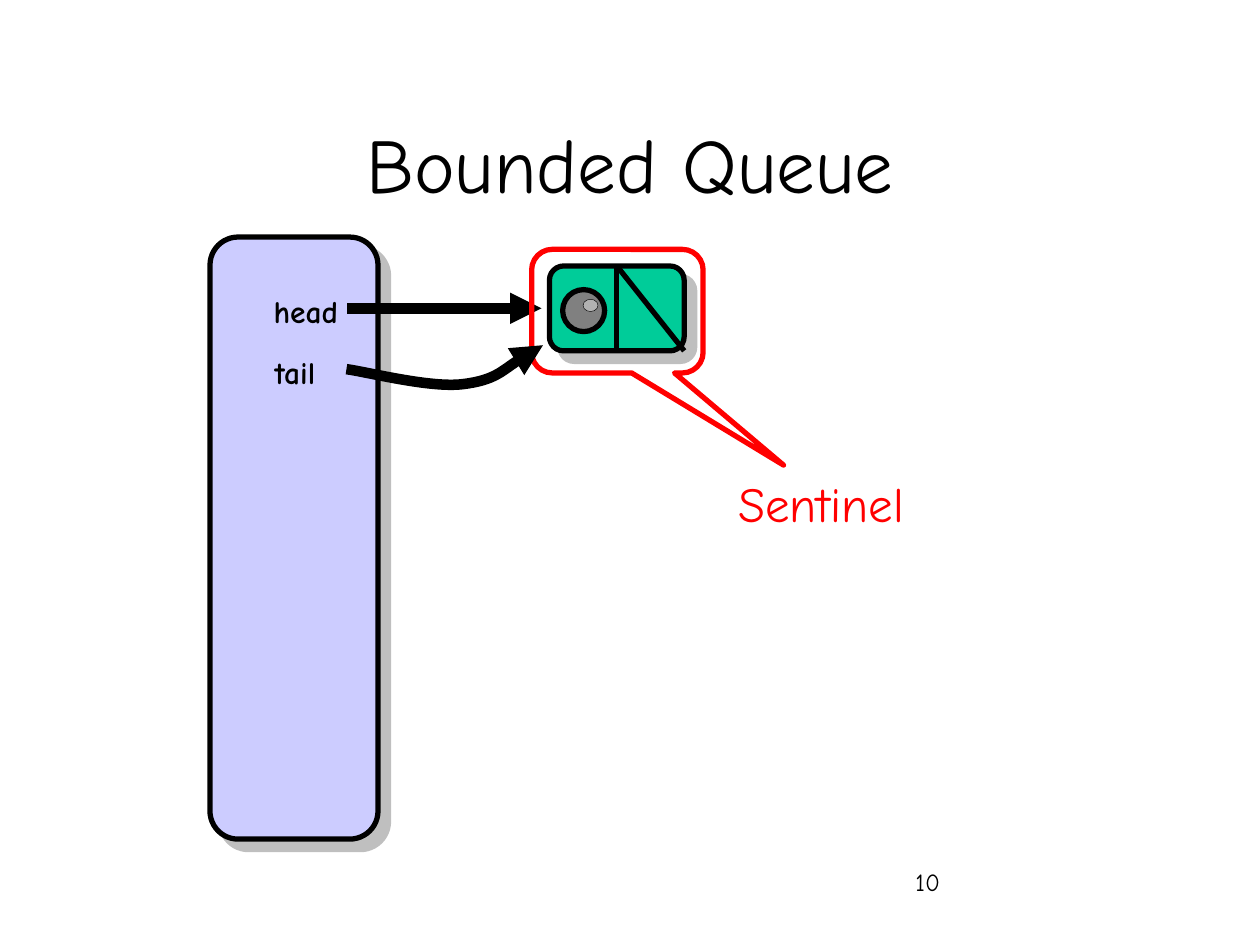
from dataclasses import dataclass

from lxml import etree
from pptx import Presentation
from pptx import util as u
from pptx.dml.color import RGBColor
from pptx.enum import shapes, text
from pptx.oxml.ns import qn

Pt = u.Pt
MSO = shapes.MSO_SHAPE


@dataclass(frozen=True)
class Theme:
    font: str = "Comic Neue"
    ink: str = "000000"
    accent: str = "FF0000"
    queue: str = "CCCCFF"
    node: str = "00CC99"
    ball: str = "808080"
    shine: str = "B2B2B2"
    shadow: str = "808080"
    title: int = 44
    callout: int = 28
    label: int = 18
    number: int = 14
    outline: float = 3
    arrow: float = 6
    hairline: float = 0.25


def put(obj, values):
    for name, value in values.items():
        setattr(obj, name, value)


def child(parent, tag, **attrs):
    return etree.SubElement(parent, qn(tag), attrs)


class Deck:
    def __init__(self, theme):
        self.t = theme
        self.prs = Presentation()
        put(self.prs, {"slide_width": Pt(720), "slide_height": Pt(540)})
        self.s = self.prs.slides.add_slide(self.prs.slide_layouts[6])

    def stroke(self, sp, color, width, arrow=False):
        sp.line.color.rgb = RGBColor.from_string(color)
        sp.line.width = Pt(width)
        if arrow:
            child(sp.line._get_or_add_ln(), "a:tailEnd", type="triangle")

    def text(self, words, box, size, color=None, align="CENTER", bold=False,
             anchor="TOP", grow=False):
        sp = self.s.shapes.add_textbox(*map(Pt, box))
        tf = sp.text_frame
        fit = text.MSO_AUTO_SIZE
        put(tf, {"word_wrap": not grow,
                 "auto_size": fit.SHAPE_TO_FIT_TEXT if grow else fit.NONE,
                 "vertical_anchor": getattr(text.MSO_ANCHOR, anchor)})
        p = tf.paragraphs[0]
        p.alignment = getattr(text.PP_ALIGN, align)
        r = p.add_run()
        r.text = words
        put(r.font, {"name": self.t.font, "size": Pt(size), "bold": bold})
        r.font.color.rgb = RGBColor.from_string(color or self.t.ink)

    def shape(self, kind, box, fill=None, line=None, width=None, adj=(),
              shadow=False, group=None):
        sp = (group or self.s).shapes.add_shape(kind, *map(Pt, box))
        for i, value in enumerate(adj):
            sp.adjustments[i] = value
        if fill:
            sp.fill.solid()
            sp.fill.fore_color.rgb = RGBColor.from_string(fill)
        else:
            sp.fill.background()
        self.stroke(sp, line or self.t.ink, width or self.t.outline)
        sp.shadow.inherit = False
        if shadow:
            effects = sp._element.spPr.find(qn("a:effectLst"))
            outer = child(effects, "a:outerShdw", dist=str(Pt(8.5)),
                          dir="2700000", algn="ctr", rotWithShape="0")
            color = child(outer, "a:srgbClr", val=self.t.shadow)
            child(color, "a:alpha", val="50000")

    def line(self, start, end, width=None, arrow=False, group=None):
        sp = (group or self.s).shapes.add_connector(
            shapes.MSO_CONNECTOR.STRAIGHT, *map(Pt, start + end))
        self.stroke(sp, self.t.ink, width or self.t.outline, arrow)
        child(sp._element.spPr, "a:effectLst")

    def curve(self, start, points):
        fb = self.s.shapes.build_freeform(*map(Pt, start))
        fb.add_line_segments([(Pt(x), Pt(y)) for x, y in points], close=False)
        sp = fb.convert_to_shape()
        sp.fill.background()
        self.stroke(sp, self.t.ink, self.t.arrow, arrow=True)
        sp.shadow.inherit = False
        outline = next(sp._element.iter(qn("a:path")))
        steps = outline.findall(qn("a:lnTo"))
        for i in range(0, len(steps), 3):
            bezier = child(outline, "a:cubicBezTo")
            for step in steps[i:i + 3]:
                bezier.append(step[0])
                outline.remove(step)

    def node(self, x, y, w, h):
        t = self.t
        g = self.s.shapes.add_group_shape()
        mid = x + w / 2
        self.shape(MSO.ROUNDED_RECTANGLE, (x, y, w, h), t.node, adj=[0.167],
                   shadow=True, group=g)
        for end_x in (mid, x + w):
            self.line((mid, y), (end_x, y + h), group=g)
        self.shape(MSO.OVAL, (x + 7.5, y + 13.5, 24, 24), t.ball, group=g)
        self.shape(MSO.OVAL, (x + 19.2, y + 19, 8.5, 7), t.shine,
                   width=t.hairline, group=g)


def main():
    t = Theme()
    d = Deck(t)
    d.text("10", (516, 492, 150, 36), t.number, align="LEFT")
    d.shape(MSO.ROUNDED_RECTANGLE, (120, 135.5, 96, 344), t.queue,
            adj=[0.167], shadow=True)
    d.text("Bounded Queue", (54, 48, 612, 90), t.title, anchor="MIDDLE")
    d.line((198.5, 176.2), (309.5, 176.2), t.arrow, arrow=True)
    d.node(314, 152, 77, 48.5)
    d.shape(MSO.ROUNDED_RECTANGULAR_CALLOUT, (303.8, 142.5, 98, 70.6),
            line=t.accent, adj=[0.969, 1.246, 0.167])
    d.text("Sentinel", (408, 267, 122.5, 41), t.callout, t.accent, grow=True)
    for words, y, w in (("head", 163.5, 55.5), ("tail", 198, 43)):
        d.text(words, (147, y, w, 29), t.label, bold=True, grow=True)
    d.curve((198, 211), [(209.5, 212.5), (245.5, 221.8), (264.2, 219.6),
                         (283, 217.4), (301, 201.6), (310.3, 197.3)])
    d.prs.save("out.pptx")


if __name__ == "__main__":
    main()
